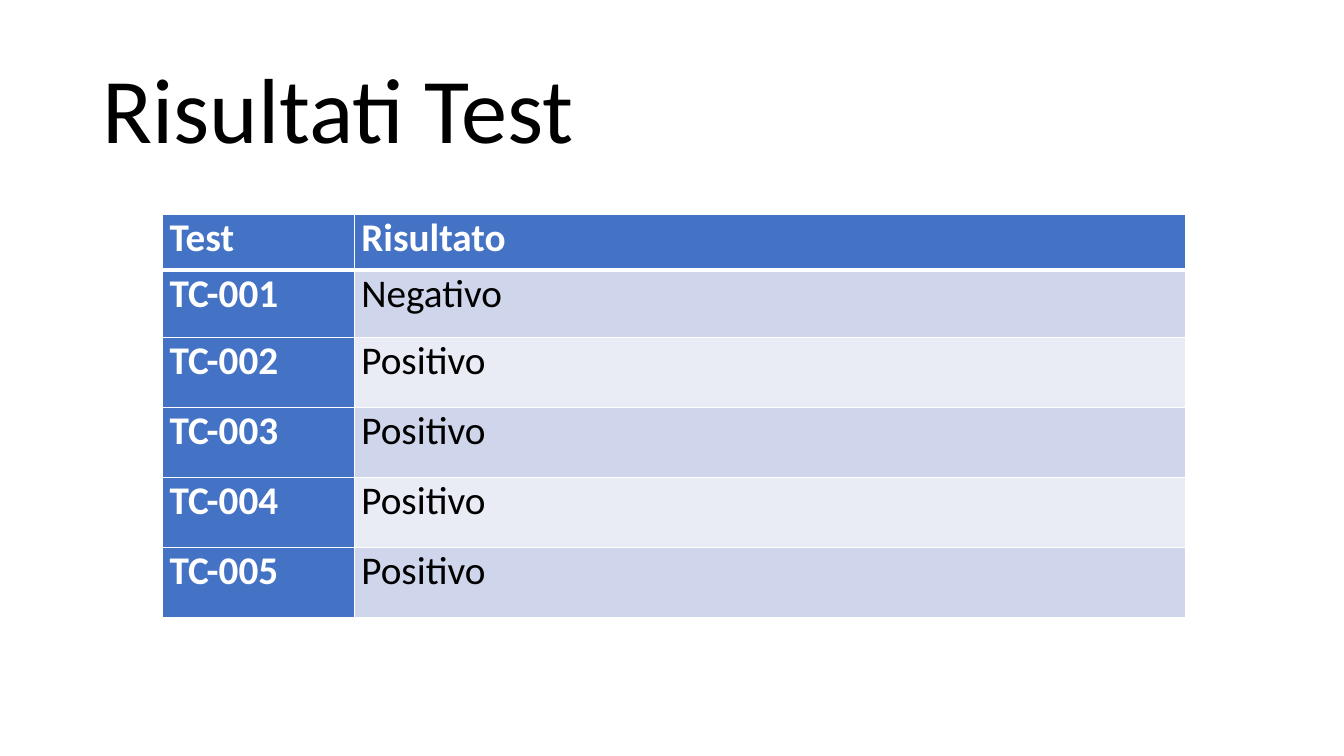
from lxml.etree import SubElement
from pptx import Presentation
from pptx.dml.color import RGBColor
from pptx.enum.text import MSO_ANCHOR
from pptx.oxml.ns import qn
from pptx.util import Pt

WHITE = RGBColor(0xFF, 0xFF, 0xFF)
BLACK = RGBColor(0x00, 0x00, 0x00)
BLUE = RGBColor(0x44, 0x72, 0xC4)
BAND_DARK = RGBColor(0xCF, 0xD5, 0xEA)
BAND_LIGHT = RGBColor(0xE9, 0xEB, 0xF5)

RESULTS = [
    ("Test", "Risultato"),
    ("TC-001", "Negativo"),
    ("TC-002", "Positivo"),
    ("TC-003", "Positivo"),
    ("TC-004", "Positivo"),
    ("TC-005", "Positivo"),
]
COLUMN_WIDTHS = [137, 594]
ROW_HEIGHTS = [40, 48] + [50] * 4
CELL_FORMAT = {"margin_left": Pt(5.2), "margin_right": Pt(5.2),
               "margin_top": 0, "margin_bottom": 0}


def write(paragraph, text, size, color, bold=False):
    run = paragraph.add_run()
    run.text = text
    font_format = {"name": "Calibri", "size": Pt(size), "bold": bold}
    for key, value in font_format.items():
        setattr(run.font, key, value)
    run.font.color.rgb = color


def add_borders(cell, widths):
    properties = cell._tc.get_or_add_tcPr()
    for position, (side, width) in enumerate(widths.items()):
        line = SubElement(properties, qn(f"a:ln{side}"), w=str(Pt(width)))
        fill = SubElement(line, qn("a:solidFill"))
        SubElement(fill, qn("a:srgbClr"), val=str(WHITE))
        # Borders come before the cell fill
        properties.insert(position, line)


presentation = Presentation()
presentation.slide_width = Pt(960)
presentation.slide_height = Pt(540)
slide = presentation.slides.add_slide(presentation.slide_layouts[6])

# Title
title = slide.shapes.add_textbox(Pt(66), Pt(28.75), Pt(828), Pt(104.4)).text_frame
title.word_wrap = True
title.vertical_anchor = MSO_ANCHOR.MIDDLE
title.paragraphs[0].line_spacing = 0.9
write(title.paragraphs[0], "Risultati Test", 66, BLACK)

# Results table
results = slide.shapes.add_table(
    len(RESULTS), len(COLUMN_WIDTHS), Pt(116), Pt(153),
    Pt(sum(COLUMN_WIDTHS)), Pt(sum(ROW_HEIGHTS))).table
results.first_col = True
for column, width in zip(results.columns, COLUMN_WIDTHS):
    column.width = Pt(width)
for row, height in zip(results.rows, ROW_HEIGHTS):
    row.height = Pt(height)

# Cells: blue header row and first column, banded results
for row_number, entries in enumerate(RESULTS):
    for column_number, entry in enumerate(entries):
        cell = results.cell(row_number, column_number)
        is_heading = row_number == 0 or column_number == 0
        band = BAND_DARK if row_number % 2 else BAND_LIGHT
        for key, value in CELL_FORMAT.items():
            setattr(cell, key, value)
        cell.fill.solid()
        cell.fill.fore_color.rgb = BLUE if is_heading else band
        write(cell.text_frame.paragraphs[0], entry, 28,
              WHITE if is_heading else BLACK, is_heading)
        add_borders(cell, {"L": 1, "R": 1,
                           "T": 3 if row_number == 1 else 1,
                           "B": 3 if row_number == 0 else 1})

presentation.save("out.pptx")
